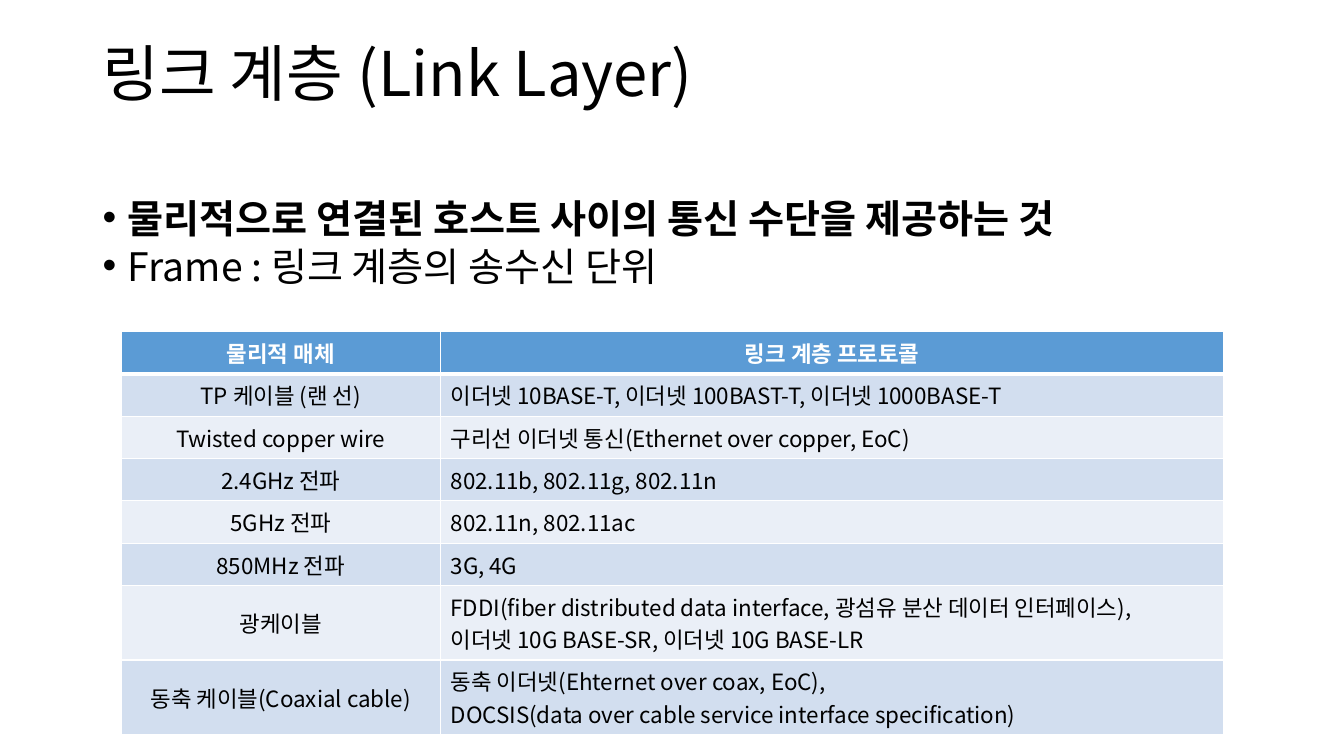
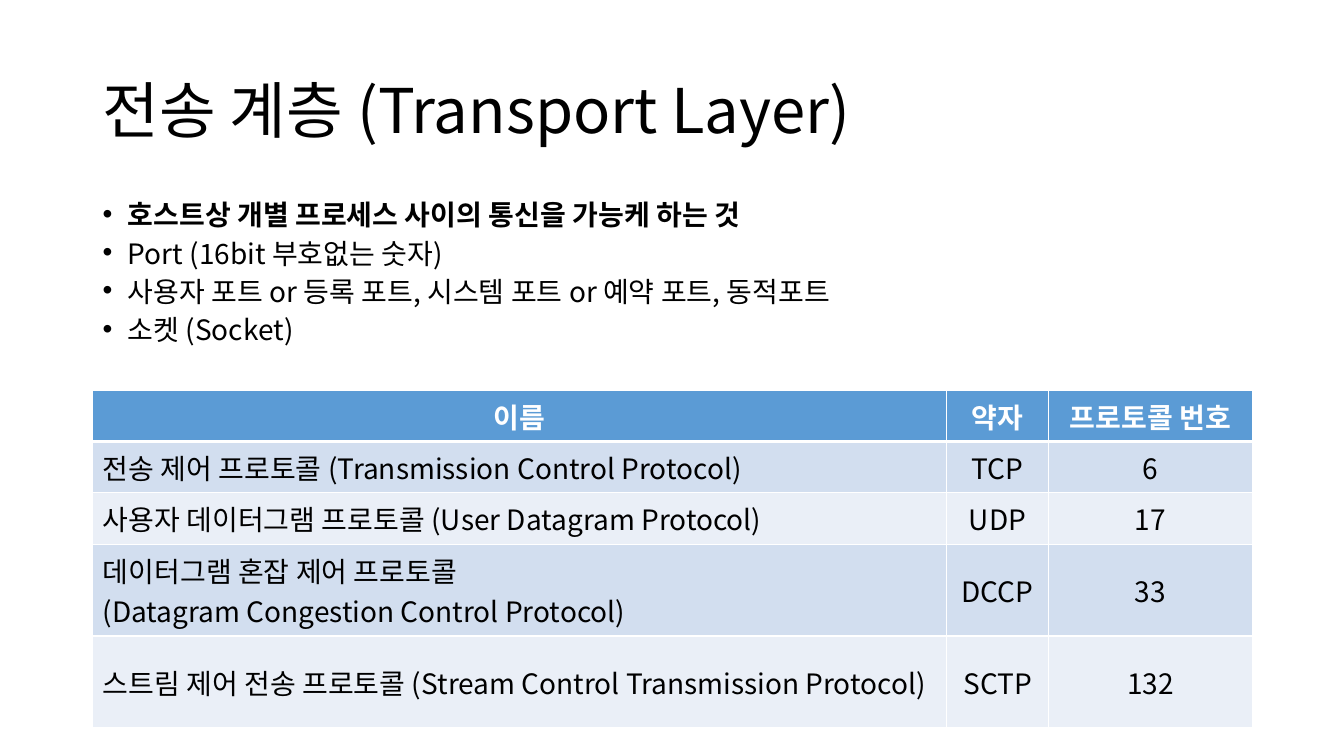
from lxml import etree
from pptx import Presentation
from pptx.dml.color import RGBColor
from pptx.enum.text import MSO_ANCHOR, PP_ALIGN
from pptx.oxml.ns import qn
from pptx.util import Inches, Pt

MIDDLE, TOP = MSO_ANCHOR.MIDDLE, MSO_ANCHOR.TOP
LEFT, CENTER = PP_ALIGN.LEFT, PP_ALIGN.CENTER

# Shared look
FONT = "Noto Sans CJK KR"
BLACK, WHITE = "000000", "FFFFFF"
HEADER_FILL = "5B9BD5"
BAND_FILLS = ("D2DEEF", "EAEFF7")
MARGIN, CONTENT_WIDTH = 0.92, 11.5
TITLE_HEIGHT = 1.45
BODY_TOP, BODY_HEIGHT = 2, 4.76
BULLET_INDENT = 0.25

LINK_BULLETS = [
    "물리적으로 연결된 호스트 사이의 통신 수단을 제공하는 것",
    "Frame : 링크 계층의 송수신 단위",
]
LINK_ROWS = [
    ("물리적 매체", "링크 계층 프로토콜"),
    ("TP 케이블 (랜 선)", "이더넷 10BASE-T, 이더넷 100BAST-T, 이더넷 1000BASE-T"),
    ("Twisted copper wire", "구리선 이더넷 통신(Ethernet over copper, EoC)"),
    ("2.4GHz 전파", "802.11b, 802.11g, 802.11n"),
    ("5GHz 전파", "802.11n, 802.11ac"),
    ("850MHz 전파", "3G, 4G"),
    ("광케이블",
     "FDDI(fiber distributed data interface, 광섬유 분산 데이터 인터페이스),\n"
     "이더넷 10G BASE-SR, 이더넷 10G BASE-LR"),
    ("동축 케이블(Coaxial cable)",
     "동축 이더넷(Ehternet over coax, EoC),\n"
     "DOCSIS(data over cable service interface specification)"),
]
TRANSPORT_BULLETS = [
    "호스트상 개별 프로세스 사이의 통신을 가능케 하는 것",
    "Port (16bit 부호없는 숫자)",
    "사용자 포트 or 등록 포트, 시스템 포트 or 예약 포트, 동적포트",
    "소켓 (Socket)",
]
TRANSPORT_ROWS = [
    ("이름", "약자", "프로토콜 번호"),
    ("전송 제어 프로토콜 (Transmission Control Protocol)", "TCP", "6"),
    ("사용자 데이터그램 프로토콜 (User Datagram Protocol)", "UDP", "17"),
    ("데이터그램 혼잡 제어 프로토콜\n(Datagram Congestion Control Protocol)",
     "DCCP", "33"),
    ("스트림 제어 전송 프로토콜 (Stream Control Transmission Protocol)",
     "SCTP", "132"),
]


def rgb(color):
    return RGBColor.from_string(color)


def write(paragraph, text, *, size, color=BLACK, bold=False, align=LEFT,
          line_spacing=None, space_before=None):
    paragraph.alignment = align
    paragraph.line_spacing = line_spacing
    if space_before is not None:
        paragraph.space_before = Pt(space_before)
    run = paragraph.add_run()
    run.text = text
    font = run.font
    font.name, font.size, font.bold = FONT, Pt(size), bold
    font.color.rgb = rgb(color)
    # Hangul takes the East Asian typeface
    etree.SubElement(run._r.get_or_add_rPr(), qn("a:ea"), typeface=FONT)


def write_lines(frame, lines, **style):
    """Fill a text frame with one paragraph per line."""
    for index, line in enumerate(lines):
        paragraph = frame.add_paragraph() if index else frame.paragraphs[0]
        write(paragraph, line, **style)


def add_text_frame(slide, top, height, anchor):
    box = slide.shapes.add_textbox(Inches(MARGIN), Inches(top),
                                   Inches(CONTENT_WIDTH), Inches(height))
    frame = box.text_frame
    frame.word_wrap = True
    frame.vertical_anchor = anchor
    return frame


def add_title(slide, text, top):
    frame = add_text_frame(slide, top, TITLE_HEIGHT, MIDDLE)
    write_lines(frame, [text], size=44, line_spacing=0.9)


def add_bullets(slide, lines, size):
    """Bulleted list whose first line is bold."""
    frame = add_text_frame(slide, BODY_TOP, BODY_HEIGHT, TOP)
    write_lines(frame, lines, size=size, line_spacing=0.72, space_before=10)
    frame.paragraphs[0].runs[0].font.bold = True
    for paragraph in frame.paragraphs:
        props = paragraph._p.get_or_add_pPr()
        props.set("marL", str(Inches(BULLET_INDENT)))
        props.set("indent", str(-Inches(BULLET_INDENT)))
        etree.SubElement(props, qn("a:buFont"), typeface="Arial")
        etree.SubElement(props, qn("a:buChar"), char="•")


def set_borders(cell, top, bottom):
    """White borders; top and bottom widths in points, sides 1 pt."""
    props = cell._tc.get_or_add_tcPr()
    sides = {"a:lnL": 1, "a:lnR": 1, "a:lnT": top, "a:lnB": bottom}
    for position, (tag, width) in enumerate(sides.items()):
        line = etree.Element(qn(tag), w=str(Pt(width)))
        fill = etree.SubElement(line, qn("a:solidFill"))
        etree.SubElement(fill, qn("a:srgbClr"), val=WHITE)
        props.insert(position, line)


def add_banded_table(slide, rows, *, left, top, widths, heights, size, centered):
    """Table with a header row; centered lists the centred body columns."""
    table = slide.shapes.add_table(
        len(rows), len(widths), Inches(left), Inches(top),
        Inches(sum(widths)), Inches(sum(heights))).table
    for column, width in zip(table.columns, widths):
        column.width = Inches(width)
    for r, (values, height) in enumerate(zip(rows, heights)):
        table.rows[r].height = Inches(height)
        header = r == 0
        for c, value in enumerate(values):
            cell = table.cell(r, c)
            cell.vertical_anchor = MIDDLE
            cell.fill.solid()
            cell.fill.fore_color.rgb = rgb(
                HEADER_FILL if header else BAND_FILLS[(r - 1) % 2])
            set_borders(cell, top=3 if r == 1 else 1, bottom=3 if header else 1)
            write_lines(cell.text_frame, value.split("\n"), size=size,
                        color=WHITE if header else BLACK, bold=header,
                        align=CENTER if header or c in centered else LEFT)


def add_link_slide(slide):
    add_title(slide, "링크 계층 (Link Layer)", top=0.03)
    add_bullets(slide, LINK_BULLETS, size=28)
    add_banded_table(slide, LINK_ROWS, left=1.2, top=3.29,
                     widths=[3.17, 7.77], heights=[0.42] * 6 + [0.74] * 2,
                     size=16, centered=[0])


def add_transport_slide(slide):
    add_title(slide, "전송 계층 (Transport Layer)", top=0.4)
    add_bullets(slide, TRANSPORT_BULLETS, size=20)
    add_banded_table(slide, TRANSPORT_ROWS, left=MARGIN, top=3.87,
                     widths=[8.47, 1.01, 2.02], heights=[0.51] * 3 + [0.91] * 2,
                     size=20, centered=[1, 2])


def main():
    deck = Presentation()
    deck.slide_width, deck.slide_height = Inches(13.33), Inches(7.5)
    blank = deck.slide_layouts[6]
    for fill_slide in (add_link_slide, add_transport_slide):
        fill_slide(deck.slides.add_slide(blank))
    deck.save("out.pptx")


if __name__ == "__main__":
    main()
